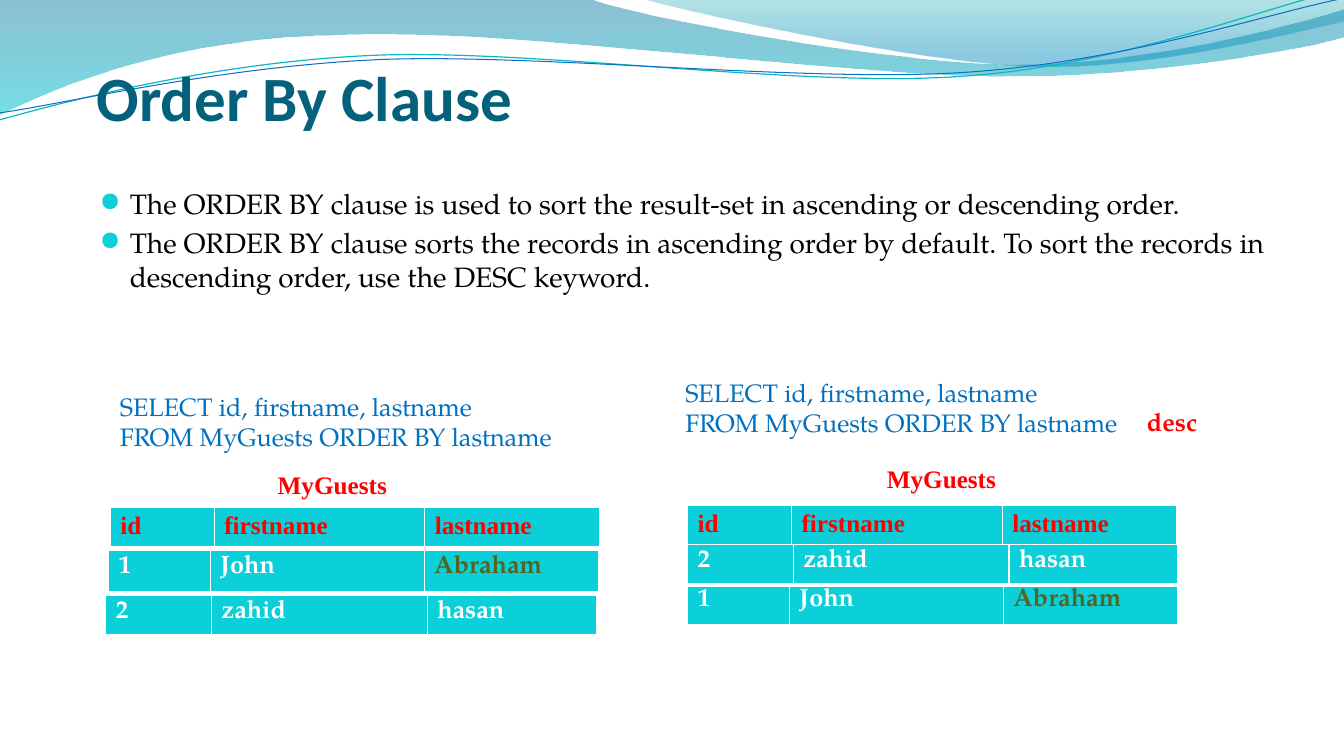
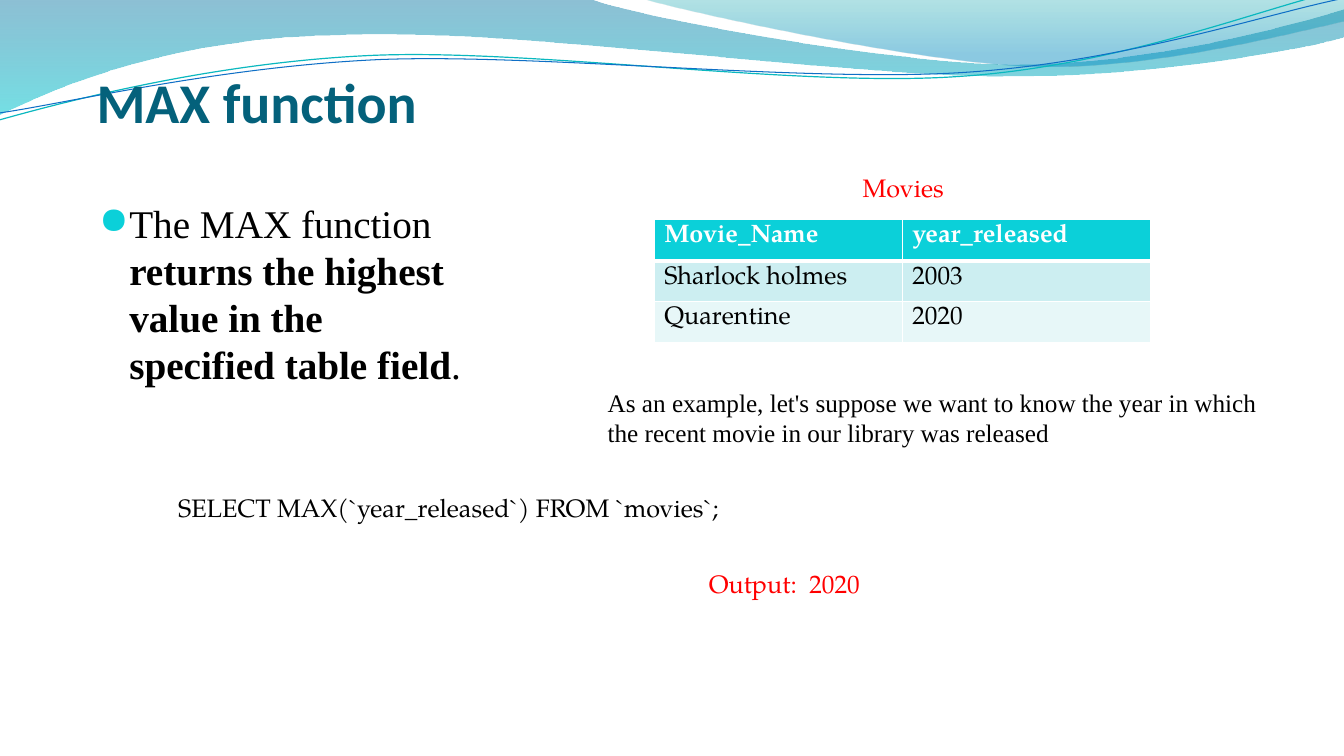
"""Build two SQL lesson slides: the ORDER BY clause and the MAX function."""
import pptx
import pptx.dml.color
import pptx.enum.text
import pptx.oxml.ns
import pptx.util
from lxml import etree

Pt = pptx.util.Pt
qn = pptx.oxml.ns.qn
ANCHOR = pptx.enum.text.MSO_ANCHOR

COLORS = {
    "title": "04617B", "black": "000000", "white": "FFFFFF", "red": "FF0000",
    "query": "0070C0", "aqua": "0BD0D9", "olive": "546422",
    "band_odd": "CCEEF1", "band_even": "E7F7F8",
    "wave_blue": "0074A1", "wave_aqua": "00C6CF",
    "wave_teal": "00A1A9", "wave_sky": "008BBF",
    "line_teal": "0AB8BF", "line_blue": "0F6FC6",
}
SERIF, ROMAN, SANS = "TeX Gyre Pagella", "Times New Roman", "Calibri"

WAVE_BANDS = [
    ([(0, 0), (423, -0.5), (456.5, 12, 637, 45.5, 728, 45.5),
      (819.5, 45.5, 920, 18.5, 960, 6.5), (961, 26),
      (944, 31.5, 835, 54.5, 716, 54), (597, 54, 366.5, 20, 247, 24.5),
      (124, 26, 44, 60, -0.5, 81.5)],
     [(0, "wave_blue", 45), (1, "wave_aqua", 55)]),
    ([(460, -0.5), (489, 8, 654.5, 44.5, 738, 47),
      (821.5, 49.5, 923, 23, 960, 15), (960, 0)],
     [(0, "wave_teal", 30), (0.8, "wave_sky", 45)]),
]
WAVE_LINES = [
    ([(-0.5, 85.7), (46, 72.7, 152, 44.6, 265.7, 39.6),
      (379.4, 34.6, 569, 62.6, 684, 54.7), (799, 47.5, 901.4, 5.8, 958.3, -7.2)],
     "line_teal", 0.85),
    ([(0, 80.6), (45.4, 74.2, 157, 47.5, 272.2, 42.5),
      (386.6, 38.2, 573, 59, 687.6, 51.8), (803, 44.6, 903.6, 10, 960.5, -1.4)],
     "line_blue", 0.75),
]

HEADING = (SERIF, 18, "white", True)
FIELD = (ROMAN, 18, "red", True)
CELL = (SERIF, 18, "black", False)
QUERY = (SERIF, 18, "query", False)
RESULT = (SERIF, 18, "red", False)

ORDER_TITLE = ("Order By Clause", 45)
ORDER_POINTS = [
    [("The ORDER BY clause is used to sort the result-set in ascending or "
      "descending order.", (SERIF, 20, "black", False))],
    [("The ORDER BY clause sorts the records in ascending order by default. "
      "To sort the records in descending order, use the DESC keyword.",
      (SERIF, 20, "black", False))],
]
ORDER_QUERY = [[("SELECT id, firstname, lastname ", QUERY)],
               [("FROM MyGuests ORDER BY lastname", QUERY)]]
FIELDS = ([74.2, 150.5, 124.5], 29.2,
          [("id", FIELD), ("firstname ", FIELD), ("lastname ", FIELD)])
JOHN = ([72.7, 152.8, 124.6], 30.2,
        [("1", HEADING), ("John", HEADING), ("Abraham", (SERIF, 18, "olive", True))])
ZAHID = ([75.6, 154, 120.7], 29.2,
         [("2", HEADING), ("zahid", HEADING), ("hasan", HEADING)])
GUEST_ROWS = [
    (78.8, 362.2, FIELDS), (77.5, 393.1, JOHN), (75.6, 425.1, ZAHID),
    (491.2, 360.7, FIELDS), (491.2, 416.9, JOHN), (491.2, 388.8, ZAHID),
]
ORDER_TEXTS = [
    ((78.5, 275.8, 397.4, 51), ORDER_QUERY, True),
    ((482.4, 265.7, 428.4, 51), ORDER_QUERY, True),
    ((191.3, 332, 93.6, 29), [[("MyGuests", FIELD)]], False),
    ((626.4, 327.6, 93.6, 29), [[("MyGuests", FIELD)]], False),
    ((812.2, 286.6, 52.6, 29), [[("desc", (SERIF, 18, "red", True))]], False),
]

MAX_TITLE = ("MAX function", 40)
MAX_POINTS = [[
    ("The MAX function ", (ROMAN, 28, "black", False)),
    ("returns the highest value in the specified table field",
     (ROMAN, 28, "black", True)),
    (".", (ROMAN, 28, "black", False)),
]]
MAX_TEXTS = [
    ((427, 272.9, 480.2, 51),
     [[("As an example, let's suppose we want to know the year in which the "
        "recent movie in our library was released", (ROMAN, 18, "black", False))]], True),
    ((120.2, 347.8, 480.2, 29),
     [[("SELECT MAX(`year_released`) FROM `movies`;", CELL)]], True),
    ((499.2, 402.5, 189.4, 29), [[("Output:  2020", RESULT)]], True),
    ((609.1, 119.5, 74.2, 29), [[("Movies", RESULT)]], False),
]
MOVIES = [("Movie_Name", "year_released"),
          ("Sharlock holmes", "2003"), ("Quarentine", "2020")]


def rgb(name):
    return pptx.dml.color.RGBColor.from_string(COLORS[name])


def add_run(paragraph, text, style):
    run = paragraph.add_run()
    run.text = text
    font = run.font
    font.name, size, color, font.bold = style
    font.size = Pt(size)
    font.color.rgb = rgb(color)


def add_text(slide, box, paragraphs, wrap=True, grow=True):
    frame = slide.shapes.add_textbox(*map(Pt, box)).text_frame
    frame.word_wrap = wrap
    if grow:
        frame.auto_size = pptx.enum.text.MSO_AUTO_SIZE.SHAPE_TO_FIT_TEXT
    for index, runs in enumerate(paragraphs):
        paragraph = frame.add_paragraph() if index else frame.paragraphs[0]
        for text, style in runs:
            add_run(paragraph, text, style)
    return frame


def add_title(slide, text, size):
    frame = add_text(slide, (69, 52, 554.5, 44),
                     [[(text, (SANS, size, "title", True))]], grow=False)
    frame.vertical_anchor = ANCHOR.BOTTOM
    frame.margin_left = frame.margin_right = frame.margin_bottom = 0


def add_bullets(slide, box, points):
    frame = add_text(slide, box, points, grow=False)
    for paragraph, runs in zip(frame.paragraphs, points):
        paragraph.space_before = Pt(runs[0][1][1] * 0.2)
        properties = paragraph._p.get_or_add_pPr()
        properties.set("marL", str(Pt(21.6)))
        properties.set("indent", str(Pt(-21.6)))
        bullet_color = etree.SubElement(properties, qn("a:buClr"))
        etree.SubElement(bullet_color, qn("a:srgbClr"), val=COLORS["aqua"])
        etree.SubElement(properties, qn("a:buSzPct"), val="95000")
        etree.SubElement(properties, qn("a:buFont"), typeface="OpenSymbol")
        etree.SubElement(properties, qn("a:buChar"), char="●")


def set_borders(cell, row):
    widths = {"L": 1, "R": 1, "T": 3 if row == 1 else 1, "B": 1 if row else 3}
    properties = cell._tc.get_or_add_tcPr()
    for index, (side, width) in enumerate(widths.items()):
        border = etree.Element(qn("a:ln" + side), w=str(Pt(width)))
        fill = etree.SubElement(border, qn("a:solidFill"))
        etree.SubElement(fill, qn("a:srgbClr"), val=COLORS["white"])
        properties.insert(index, border)


def add_grid(slide, left, top, widths, height, rows, fills):
    table = slide.shapes.add_table(
        len(rows), len(widths), Pt(left), Pt(top),
        Pt(sum(widths)), Pt(height * len(rows))).table
    for column, width in zip(table.columns, widths):
        column.width = Pt(width)
    for r, (cells, fill) in enumerate(zip(rows, fills)):
        table.rows[r].height = Pt(height)
        for c, (text, style) in enumerate(cells):
            cell = table.cell(r, c)
            cell.fill.solid()
            cell.fill.fore_color.rgb = rgb(fill)
            set_borders(cell, r)
            add_run(cell.text_frame.paragraphs[0], text, style)


def add_wave(slide, steps, close):
    ends = [(Pt(step[-2]), Pt(step[-1])) for step in steps]
    builder = slide.shapes.build_freeform(*ends[0])
    builder.add_line_segments(ends[1:], close=close)
    wave = builder.convert_to_shape()
    wave.shadow.inherit = False
    segments = list(wave.element.iter(qn("a:lnTo")))
    for segment, step in zip(segments, steps[1:]):
        if len(step) == 6:
            curve = etree.Element(qn("a:cubicBezTo"))
            for x, y in zip(step[::2], step[1::2]):
                etree.SubElement(curve, qn("a:pt"), x=str(Pt(x) - wave.left),
                                 y=str(Pt(y) - wave.top))
            segment.getparent().replace(segment, curve)
    return wave


def decorate(layout, slide):
    waves = []
    for steps, stops in WAVE_BANDS:
        band = add_wave(slide, steps, True)
        band.line.fill.background()
        band.fill.gradient()
        band.fill.gradient_angle = 270
        for stop, (position, color, _) in zip(band.fill.gradient_stops, stops):
            stop.position = position
            stop.color.rgb = rgb(color)
        tints = list(band.element.iter(qn("a:srgbClr")))
        for tint, (_, _, opacity) in zip(tints, stops):
            etree.SubElement(tint, qn("a:alpha"), val=str(opacity * 1000))
        waves.append(band)
    for steps, color, width in WAVE_LINES:
        line = add_wave(slide, steps, False)
        line.fill.background()
        line.line.color.rgb = rgb(color)
        line.line.width = Pt(width)
        waves.append(line)
    for wave in waves:
        layout.shapes.element.append(wave.element)


deck = pptx.Presentation()
deck.slide_width, deck.slide_height = Pt(960), Pt(540)
blank = deck.slide_layouts[6]
order_slide, max_slide = (deck.slides.add_slide(blank) for _ in range(2))
decorate(blank, order_slide)

add_title(order_slide, *ORDER_TITLE)
add_bullets(order_slide, (64, 129.6, 857.5, 68.4), ORDER_POINTS)
for left, top, (widths, height, cells) in GUEST_ROWS:
    add_grid(order_slide, left, top, widths, height, [cells], ["aqua"])
for box, paragraphs, wrap in ORDER_TEXTS:
    add_text(order_slide, box, paragraphs, wrap)

add_title(max_slide, *MAX_TITLE)
add_bullets(max_slide, (63.7, 138.6, 275, 139), MAX_POINTS)
for box, paragraphs, wrap in MAX_TEXTS:
    add_text(max_slide, box, paragraphs, wrap)
movie_rows = [[(text, CELL if r else HEADING) for text in row]
              for r, row in enumerate(MOVIES)]
add_grid(max_slide, 467.3, 157, [177.2, 177.2], 29.2, movie_rows,
         ["aqua", "band_odd", "band_even"])

deck.save("out.pptx")
